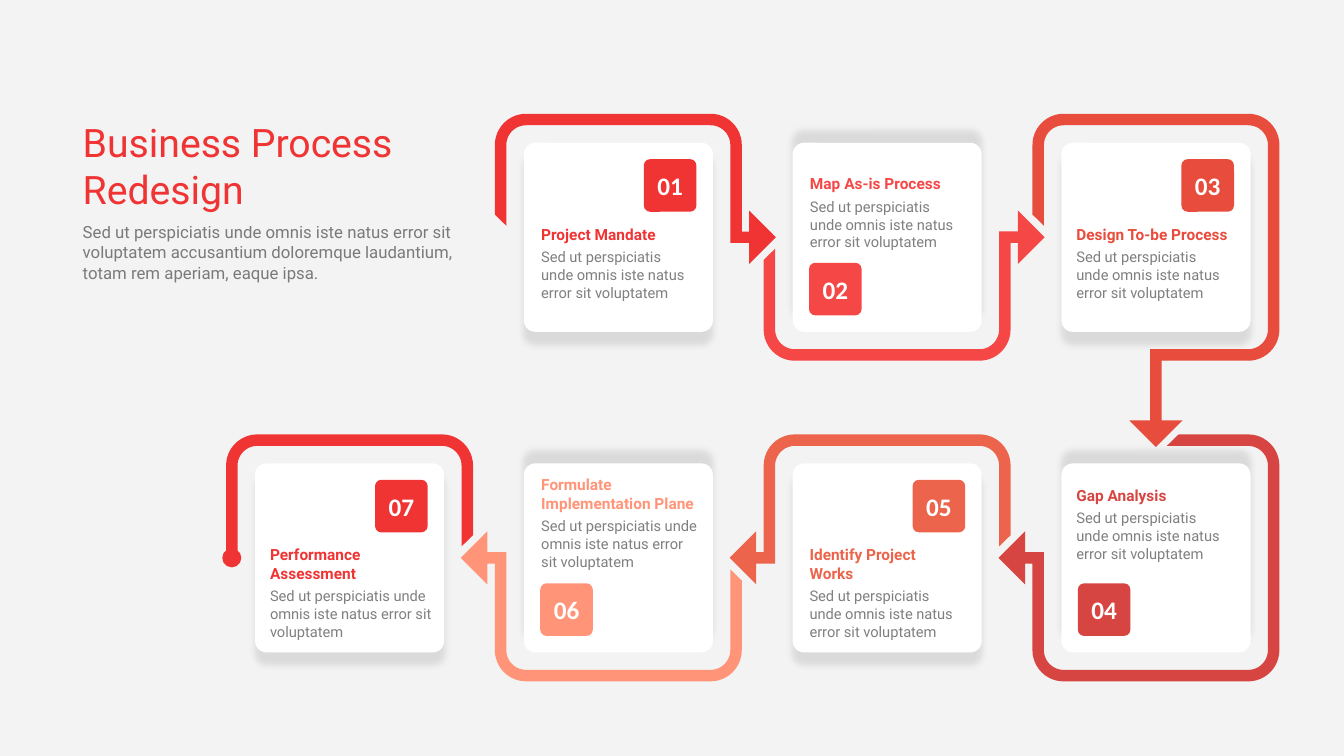
import math
import lxml.etree
import pptx
import pptx.util
import pptx.dml.color
import pptx.enum.shapes
import pptx.enum.text
import pptx.oxml.ns

Pt = pptx.util.Pt
qn = pptx.oxml.ns.qn
rgb = pptx.dml.color.RGBColor.from_string
kinds = pptx.enum.shapes.MSO_SHAPE
ALIGN = pptx.enum.text.PP_ALIGN
ANCHOR = pptx.enum.text.MSO_ANCHOR

HUES = {
    "back": "F3F3F3", "white": "FFFFFF", "ink": "201E1E", "shade": "000000",
    "red": "F03434", "rose": "F64747", "brick": "E74C3C", "wine": "D64541",
    "rust": "EC644B", "peach": "FF9478",
}
BODY = "Sed ut perspiciatis unde omnis iste natus error sit voluptatem"
LEFT, TOP, STEP, DROP = 161.5, 81.3, 192, 229
SIDE, BAND, CARD, TAB = 176.4, 8.2, 135, 37.6
GAP = (SIDE - CARD) / 2
MID, FAR = SIDE / 2, SIDE - BAND
LOW, HIGH = MID - BAND / 2, MID + BAND / 2
WING, BASE, TIP = 19, 181.7, 200.7
WIDE, TIGHT = 22.3, 14.1

arch = [(0, 72), (0, 0, WIDE), (SIDE, 0, WIDE), (SIDE, LOW), (BASE, LOW),
        (BASE, MID - WING), (TIP, MID), (BASE, MID + WING), (BASE, HIGH),
        (FAR, HIGH), (FAR, BAND, TIGHT), (BAND, BAND, TIGHT), (BAND, 80)]
fall = [(0, 72), (0, 0, WIDE), (SIDE, 0, WIDE), (SIDE, SIDE, WIDE),
        (HIGH, SIDE), (HIGH, 219), (MID + WING, 219), (MID, 238),
        (MID - WING, 219), (LOW, 219), (LOW, FAR), (FAR, FAR, TIGHT),
        (FAR, BAND, TIGHT), (BAND, BAND, TIGHT), (BAND, 80)]
turn = [(104.4, 0), (SIDE, 0, WIDE), (SIDE, SIDE, WIDE), (0, SIDE, WIDE),
        (0, HIGH), (SIDE - BASE, HIGH), (SIDE - BASE, MID + WING),
        (SIDE - TIP, MID), (SIDE - BASE, MID - WING), (SIDE - BASE, LOW),
        (BAND, LOW), (BAND, FAR, TIGHT), (FAR, FAR, TIGHT),
        (FAR, BAND, TIGHT), (96, BAND)]
tail = [(SIDE, 72), (SIDE, 0, WIDE), (0, 0, WIDE), (0, MID), (BAND, MID),
        (BAND, BAND, TIGHT), (FAR, BAND, TIGHT), (FAR, 80)]

steps = [
    ("Project Mandate", "red", 1, 0, arch, False, False, 379.5, 157, 122.4),
    ("Map As-is Process", "rose", 2, 0, arch, False, True, 571.5, 121, 122.4),
    ("Design To-be Process", "brick", 3, 0, fall, False, False, 761.8, 157, 122.4),
    ("Gap Analysis", "wine", 3, 1, turn, False, False, 761.8, 343.5, 122.4),
    ("Identify Project Works", "rust", 2, 1, arch, True, False, 571.2, 386, 122.4),
    ("Formulate Implementation Plane", "peach", 1, 1, arch, True, True, 379.5, 336, 126),
    ("Performance Assessment", "red", 0, 1, tail, False, False, 185.8, 386, 129.6),
]


def bend(nodes):
    dots = []
    for i, (x, y, *rest) in enumerate(nodes):
        if not rest:
            dots.append((x, y))
            continue
        size = rest[0]
        px, py = nodes[i - 1][:2]
        nx, ny = nodes[i + 1][:2]
        ends = math.dist((px, py), (x, y)), math.dist((x, y), (nx, ny))
        ax, ay = (x - px) / ends[0], (y - py) / ends[0]
        bx, by = (nx - x) / ends[1], (ny - y) / ends[1]
        for k in range(13):
            turned = math.radians(k * 7.5)
            back = size * (1 - math.sin(turned))
            on = size * (1 - math.cos(turned))
            dots.append((x - back * ax + on * bx, y - back * ay + on * by))
    return dots


def write(para, text, size, hue, bold=False, face="Roboto"):
    para.text = text
    font = para.runs[0].font
    font.name, font.size, font.bold = face, Pt(size), bold
    font.color.rgb = rgb(HUES[hue])
    if hue == "ink":
        tint = para.runs[0].font.fill._xPr.find(".//" + qn("a:srgbClr"))
        lxml.etree.SubElement(tint, qn("a:alpha")).set("val", "56000")


deck = pptx.Presentation()
deck.slide_width, deck.slide_height = Pt(960), Pt(540)
slide = deck.slides.add_slide(deck.slide_layouts[6])
slide.background.fill.solid()
slide.background.fill.fore_color.rgb = rgb(HUES["back"])
shapes = slide.shapes

title = shapes.add_textbox(Pt(52), Pt(80), Pt(291.6), Pt(75)).text_frame
title.word_wrap = True
title.vertical_anchor = ANCHOR.BOTTOM
write(title.paragraphs[0], "Business Process Redesign", 28, "red")
intro = shapes.add_textbox(Pt(52), Pt(155), Pt(281), Pt(51)).text_frame
intro.word_wrap = True
write(intro.paragraphs[0], "Sed ut perspiciatis unde omnis iste natus error sit voluptatem "
      "accusantium doloremque laudantium, totam rem aperiam, eaque ipsa.", 12, "ink")

for i, (name, hue, col, row, route, flip, flop, tx, ty, wide) in enumerate(steps):
    x, y = LEFT + col * STEP, TOP + row * DROP
    even = i % 2 == 1
    card = shapes.add_shape(kinds.ROUNDED_RECTANGLE, Pt(x + GAP), Pt(y + GAP), Pt(CARD), Pt(CARD))
    card.adjustments[0] = 0.06

    dots = [(Pt(x + (SIDE - u if flip else u)), Pt(y + (SIDE - v if flop else v)))
            for u, v in bend(route)]
    path = shapes.build_freeform(*dots[0], scale=1)
    path.add_line_segments(dots[1:], close=True)
    band = path.convert_to_shape()

    near, deep = GAP + 11.7, SIDE - GAP - 11.7 - TAB
    tab = shapes.add_shape(kinds.ROUNDED_RECTANGLE, Pt(x + (near if even else deep)),
                           Pt(y + (deep if even else near)), Pt(TAB), Pt(TAB))
    tab.adjustments[0] = 0.12
    parts = [(card, "white"), (band, hue), (tab, hue)]
    if route is tail:
        knob = shapes.add_shape(kinds.OVAL, Pt(x - 2.7), Pt(y + MID - 6.8), Pt(13.6), Pt(13.6))
        parts.append((knob, hue))
    for part, tone in parts:
        part.shadow.inherit = False
        part.fill.solid()
        part.fill.fore_color.rgb = rgb(HUES[tone])
        part.line.fill.background()

    glow = lxml.etree.SubElement(card._element.spPr.find(qn("a:effectLst")), qn("a:outerShdw"))
    for key, val in (("blurRad", Pt(5)), ("dist", Pt(9)),
                     ("dir", 16200000 if even else 5400000), ("rotWithShape", 0)):
        glow.set(key, str(int(val)))
    tint = lxml.etree.SubElement(glow, qn("a:srgbClr"))
    tint.set("val", HUES["shade"])
    lxml.etree.SubElement(tint, qn("a:alpha")).set("val", "10000")

    frame = tab.text_frame
    frame.margin_left = frame.margin_right = frame.margin_top = frame.margin_bottom = 0
    frame.vertical_anchor = ANCHOR.MIDDLE
    write(frame.paragraphs[0], f"{i + 1:02}", 18, "white", True, "Calibri")
    frame.paragraphs[0].alignment = ALIGN.CENTER

    note = shapes.add_textbox(Pt(tx), Pt(ty), Pt(wide), Pt(62.6)).text_frame
    note.word_wrap = True
    write(note.paragraphs[0], name, 11, hue, True)
    body = note.add_paragraph()
    write(body, BODY, 10.5, "ink")
    body.space_before = Pt(3.5)

deck.save("out.pptx")
